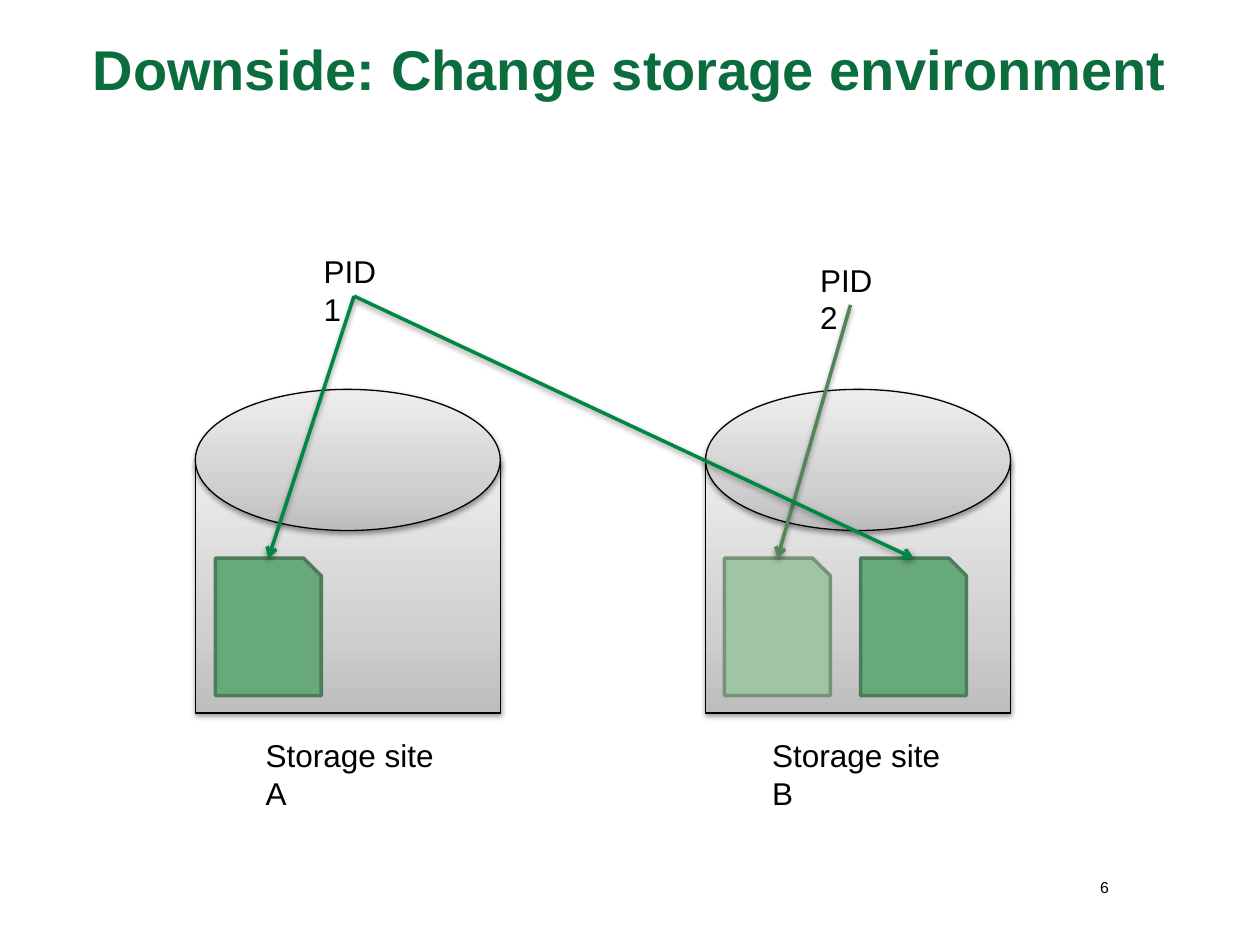
from lxml import etree
from pptx import Presentation
from pptx.dml.color import RGBColor
from pptx.enum import shapes as sh, text as tx
from pptx.oxml import parse_xml
from pptx.oxml.ns import nsdecls
from pptx.util import Inches, Pt

# Content
COLORS = {"title": "0B6D3E", "ink": "000000", "arrow": "008741",
          "arrow2": "548557", "doc": "67A979", "edge": "4C7D5A",
          "pale": "9FC5A4", "pale_edge": "769279"}
GRAY = [(0, "BDBDBD"), (35, "D1D1D1"), (100, "EEEEEE")]
TITLE = "Downside: Change storage environment"
PAGE = "6"
SITES = [1.55, 5.6]                      # left edge of each drum
LABELS = [("Storage site A", 2.01, 5.79, 1.62),
          ("Storage site B", 6.03, 5.79, 1.61)]
PIDS = [("PID 1", 2.47, 1.95, 0.68), ("PID 2", 6.41, 2.02, 0.68)]
DOCS = [(1.71, "doc", "edge"), (5.75, "pale", "pale_edge"),
        (6.83, "doc", "edge")]
LINKS = [(0, 0, "arrow"), (1, 1, "arrow2"), (0, 2, "arrow")]  # pid, doc, color

DRUM_W, BODY_Y, BODY_H, LID_Y, LID_H = 2.42, 3.65, 2.01, 3.09, 1.12
DOC_Y, DOC_W, DOC_H = 4.43, 0.84, 1.09
KIND = sh.MSO_SHAPE


def rgb(name):
    return RGBColor.from_string(COLORS[name])


def box(*vals):
    return [Inches(v) for v in vals]


def shadow(shape):
    shape._element.spPr.append(parse_xml(
        f'<a:effectLst {nsdecls("a")}><a:outerShdw blurRad="40000" dist="20000" '
        'dir="5400000" rotWithShape="0"><a:srgbClr val="000000">'
        '<a:alpha val="38000"/></a:srgbClr></a:outerShdw></a:effectLst>'))


def write(frame, words, size, color="ink", bold=False, align=None):
    par = frame.paragraphs[0]
    par.alignment = align
    run = par.add_run()
    run.text = words
    run.font.name, run.font.size, run.font.bold = "Arial", Pt(size), bold
    run.font.color.rgb = rgb(color)


def label(words, x, y, w):
    area = slide.shapes.add_textbox(*box(x, y, w, 0.4))
    area.text_frame.word_wrap = True
    write(area.text_frame, words, 18)
    return area


def gray(shape):
    stops = "".join(f'<a:gs pos="{p * 1000}"><a:srgbClr val="{c}"/></a:gs>'
                    for p, c in GRAY)
    shape.line.color.rgb, shape.line.width = rgb("ink"), Pt(0.75)
    shape._element.spPr.prstGeom.addnext(parse_xml(
        f'<a:gradFill {nsdecls("a")} rotWithShape="1"><a:gsLst>{stops}</a:gsLst>'
        '<a:lin ang="16200000" scaled="0"/></a:gradFill>'))
    shadow(shape)


deck = Presentation()
deck.slide_width, deck.slide_height = Inches(10), Inches(7.5)
slide = deck.slides.add_slide(deck.slide_layouts[5])

# Title
head = slide.shapes.title
head.left, head.top, head.width, head.height = box(0.5, 0.17, 9, 0.83)
frame = head.text_frame
frame.auto_size = tx.MSO_AUTO_SIZE.NONE
frame.vertical_anchor = tx.MSO_ANCHOR.TOP
frame.margin_top = Inches(0.1)
write(frame, TITLE, 32, "title", True, tx.PP_ALIGN.CENTER)

# Page number
frame = slide.shapes.add_textbox(*box(8.48, 6.97, 0.48, 0.24)).text_frame
frame.margin_left = frame.margin_top = frame.margin_bottom = 0
frame.margin_right = Inches(0.16)
frame.word_wrap = True
write(frame, PAGE, 9, align=tx.PP_ALIGN.RIGHT)

# Storage drums
for x in SITES:
    drum = slide.shapes.add_group_shape()
    for kind, y, h in ((KIND.RECTANGLE, BODY_Y, BODY_H),
                       (KIND.OVAL, LID_Y, LID_H)):
        gray(drum.shapes.add_shape(kind, *box(x, y, DRUM_W, h)))

# Documents
for x, fill, edge in DOCS:
    doc = slide.shapes.add_shape(KIND.SNIP_1_RECTANGLE,
                                 *box(x, DOC_Y, DOC_W, DOC_H))
    doc.shadow.inherit = False
    doc.fill.solid()
    doc.fill.fore_color.rgb = rgb(fill)
    doc.line.color.rgb, doc.line.width = rgb(edge), Pt(2)

# Labels
pids = [label(*pid) for pid in PIDS]
for site in LABELS:
    label(*site)

# Arrows from the identifiers to the documents
for pid, doc, color in LINKS:
    end = box(DOCS[doc][0] + DOC_W / 2, DOC_Y)
    link = slide.shapes.add_connector(sh.MSO_CONNECTOR.STRAIGHT, 0, 0, *end)
    link.begin_connect(pids[pid], 2)
    link.line.color.rgb, link.line.width = rgb(color), Pt(2)
    tip = parse_xml(f'<a:tailEnd {nsdecls("a")} type="arrow"/>')
    link.line._get_or_add_ln().append(tip)
    shadow(link)

deck.save("out.pptx")
